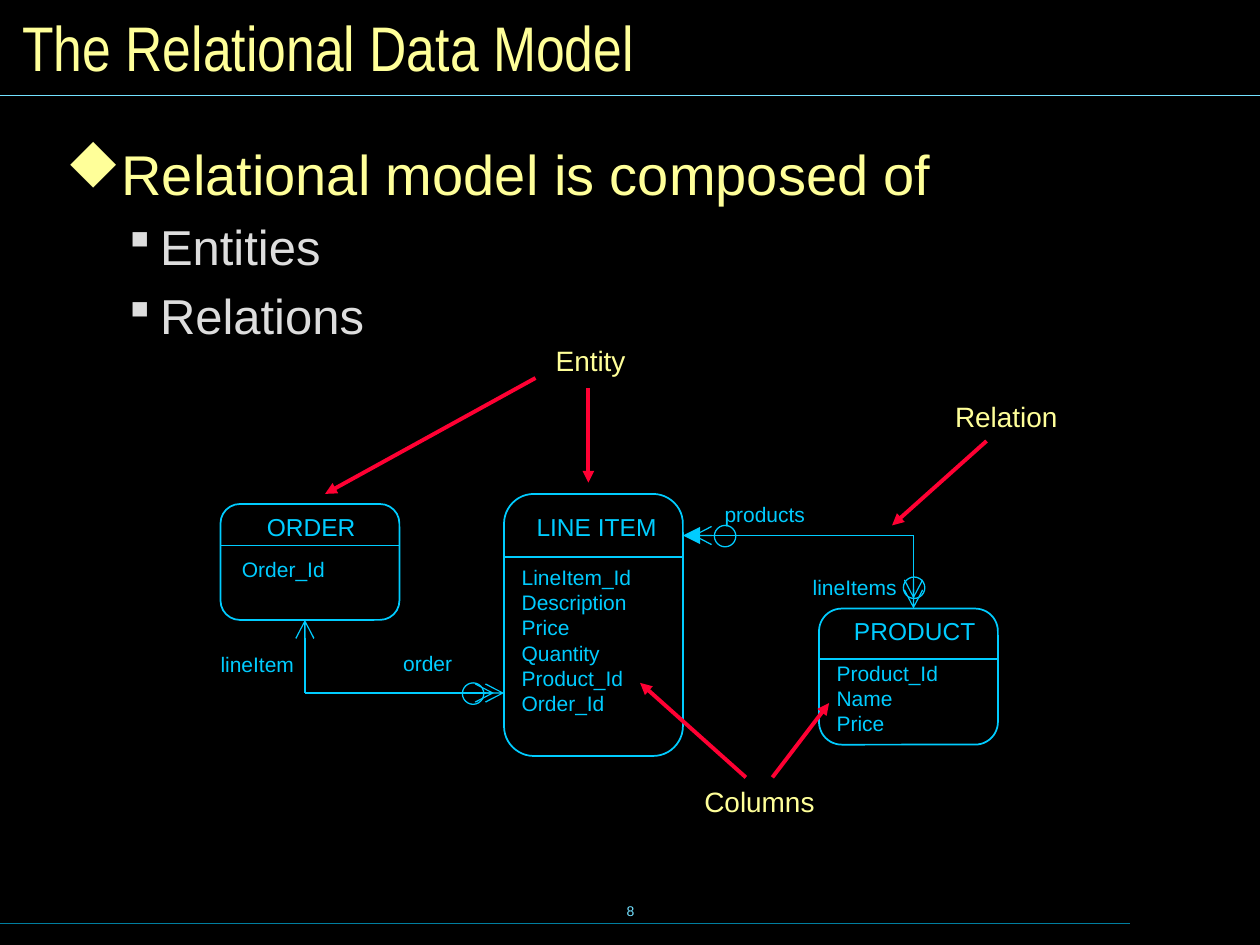
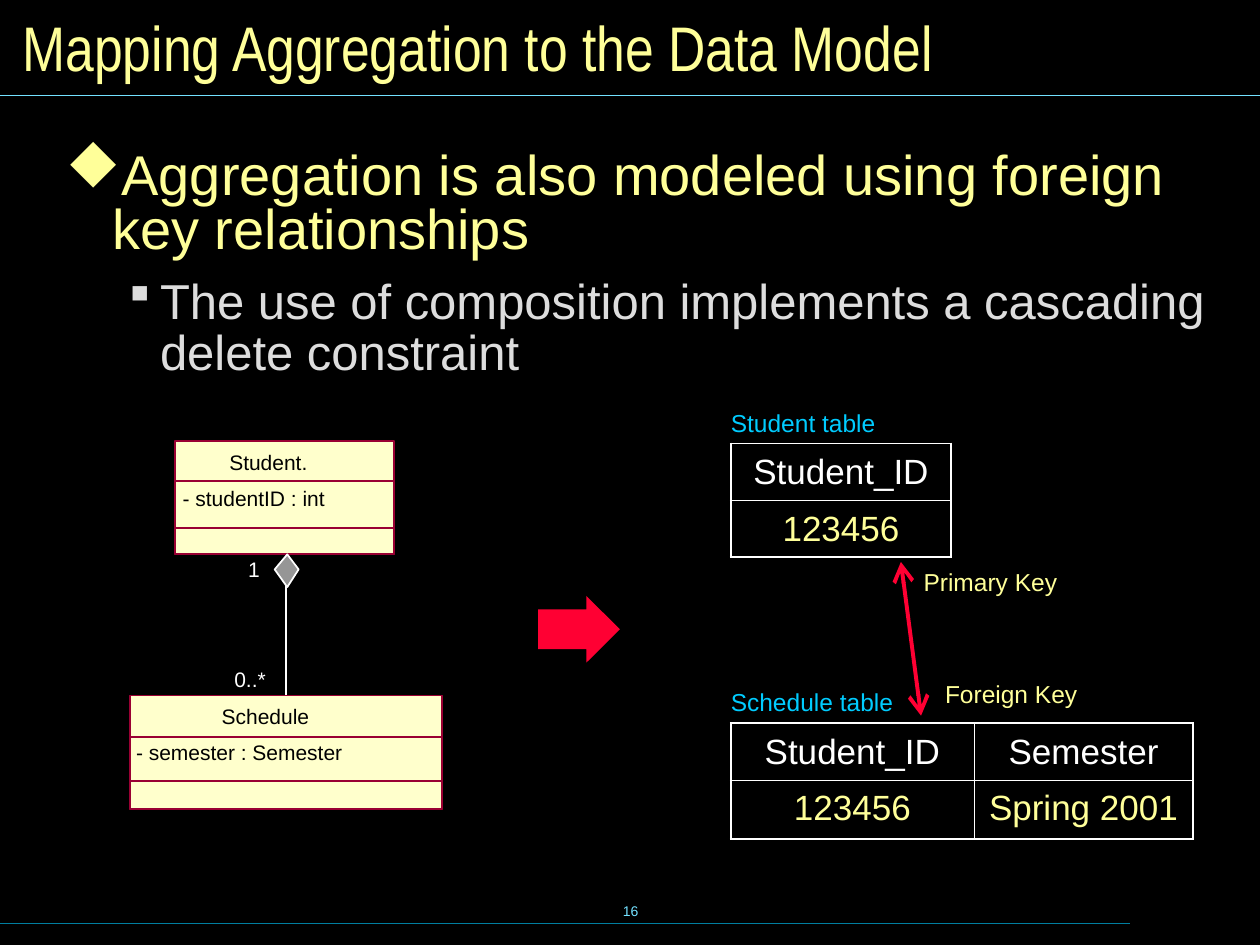
from lxml.etree import SubElement
from pptx import Presentation
from pptx.dml.color import RGBColor
from pptx.enum.shapes import MSO_CONNECTOR, MSO_SHAPE
from pptx.enum.text import MSO_ANCHOR, MSO_AUTO_SIZE, PP_ALIGN
from pptx.oxml.ns import qn
from pptx.util import Inches, Pt

BLACK = RGBColor(0x00, 0x00, 0x00)
WHITE = RGBColor(0xFF, 0xFF, 0xFF)
YELLOW = RGBColor(0xFF, 0xFF, 0x99)
CREAM = RGBColor(0xFF, 0xFF, 0xCC)
LIGHT_GRAY = RGBColor(0xDD, 0xDD, 0xDD)
GRAY = RGBColor(0x96, 0x96, 0x96)
CYAN = RGBColor(0x00, 0xCC, 0xFF)
PALE_CYAN = RGBColor(0x73, 0xE1, 0xFF)
TEAL = RGBColor(0x00, 0x7E, 0x9F)
RED = RGBColor(0xFF, 0x00, 0x33)
MAROON = RGBColor(0x99, 0x00, 0x33)

# Wingdings draws "u" as a diamond and "§" as a small square
BULLETS = [
    {"char": "u", "left": 0.37, "hang": 0.37, "size": 32, "color": YELLOW,
     "format": {"level": 0, "line_spacing": 0.8, "space_before": Pt(12)}},
    {"char": "§", "left": 0.75, "hang": 0.25, "size": 28, "color": LIGHT_GRAY,
     "format": {"level": 1, "line_spacing": 0.87, "space_before": Pt(10.5)}},
]


def inches(values):
    return [Inches(value) for value in values]


def apply_format(target, values):
    for name, value in values.items():
        setattr(target, name, value)


class Deck:
    """Holds the presentation, its style and the current slide."""

    def __init__(self):
        self.presentation = Presentation()
        self.presentation.slide_width = Inches(10)
        self.presentation.slide_height = Inches(7.5)
        self.slide = None

    # Slide frame: background, title, rules, page number and bullets
    def start_slide(self, title, number, bullets):
        self.slide = self.presentation.slides.add_slide(
            self.presentation.slide_layouts[6])
        background = self.slide.background.fill
        background.solid()
        background.fore_color.rgb = BLACK
        self.text((3.42, 6.98, 3.17, 0.5), [str(number)], 8, PALE_CYAN,
                  align=PP_ALIGN.CENTER, insets=(0.1, 0.05),
                  anchor=MSO_ANCHOR.MIDDLE)
        self.line((0, 7.33), (8.97, 7.33), TEAL)
        self.line((0, 0.76), (10, 0.76), PALE_CYAN)
        self.text((0.08, 0.08, 9.84, 0.58), [title], 36, YELLOW,
                  font="Arial Narrow", insets=(0.1, 0.05),
                  anchor=MSO_ANCHOR.MIDDLE, wrap=True)
        self.bullets((0.4, 1.15, 9.29, 2.1), bullets)

    def run(self, paragraph, text, size, color, font="Arial"):
        run = paragraph.add_run()
        run.text = text
        apply_format(run.font, {"size": Pt(size), "name": font})
        run.font.color.rgb = color

    def text_frame(self, box, insets, anchor, wrap):
        frame = self.slide.shapes.add_textbox(*inches(box)).text_frame
        across, down = inches(insets)
        apply_format(frame, {
            "margin_left": across, "margin_right": across,
            "margin_top": down, "margin_bottom": down,
            "vertical_anchor": anchor, "word_wrap": wrap,
            "auto_size": MSO_AUTO_SIZE.NONE})
        return frame

    def text(self, box, lines, size, color, font="Arial",
             align=PP_ALIGN.LEFT, insets=(0.12, 0.06),
             anchor=MSO_ANCHOR.TOP, wrap=False):
        frame = self.text_frame(box, insets, anchor, wrap)
        for index, line in enumerate(lines):
            paragraph = frame.add_paragraph() if index else frame.paragraphs[0]
            paragraph.alignment = align
            self.run(paragraph, line, size, color, font)

    def bullets(self, box, items):
        frame = self.text_frame(box, (0.12, 0.06), MSO_ANCHOR.TOP, True)
        for index, (level, text) in enumerate(items):
            style = BULLETS[level]
            paragraph = frame.add_paragraph() if index else frame.paragraphs[0]
            properties = paragraph._p.get_or_add_pPr()
            properties.set("marL", str(Inches(style["left"])))
            properties.set("indent", str(-Inches(style["hang"])))
            bullet_color = SubElement(properties, qn("a:buClr"))
            SubElement(bullet_color, qn("a:srgbClr"), val=str(style["color"]))
            SubElement(properties, qn("a:buFont"), typeface="Wingdings",
                       pitchFamily="2", charset="2")
            SubElement(properties, qn("a:buChar"), char=style["char"])
            apply_format(paragraph, style["format"])
            if not index:
                paragraph.space_before = Pt(0)
            self.run(paragraph, text, style["size"], style["color"])

    def line(self, start, end, color, width=0.75, head=None, tail=None,
             tip="med"):
        connector = self.slide.shapes.add_connector(
            MSO_CONNECTOR.STRAIGHT, *inches(start + end))
        connector.line.color.rgb = color
        connector.line.width = Pt(width)
        properties = connector._element.spPr
        outline = properties.find(qn("a:ln"))
        for tag, kind in (("a:headEnd", head), ("a:tailEnd", tail)):
            if kind:
                SubElement(outline, qn(tag), type=kind, w=tip, len=tip)
        SubElement(properties, qn("a:effectLst"))
        return connector

    def paint(self, shape, fill=None, line=None, width=1):
        shape.shadow.inherit = False
        if fill is None:
            shape.fill.background()
        else:
            shape.fill.solid()
            shape.fill.fore_color.rgb = fill
        if line is None:
            shape.line.fill.background()
        else:
            shape.line.color.rgb = line
            shape.line.width = Pt(width)
        return shape

    def shape(self, kind, box, adjustments=(), **paint):
        shape = self.slide.shapes.add_shape(kind, *inches(box))
        for index, value in enumerate(adjustments):
            shape.adjustments[index] = value
        return self.paint(shape, **paint)

    def polygon(self, points, **paint):
        start, *rest = [inches(point) for point in points]
        builder = self.slide.shapes.build_freeform(*start)
        builder.add_line_segments(rest, close=True)
        return self.paint(builder.convert_to_shape(), **paint)

    # Rounded entity box with a heading and a list of columns
    def entity(self, box, divider, name, name_box, columns, columns_box):
        left, _, width, _ = box
        self.shape(MSO_SHAPE.ROUNDED_RECTANGLE, box, [0.167], line=CYAN)
        self.line((left, divider), (left + width, divider), CYAN, 1)
        self.text(name_box, [name], 14, CYAN, align=PP_ALIGN.CENTER)
        self.text(columns_box, columns, 12, CYAN)

    def circle(self, left, top):
        self.shape(MSO_SHAPE.FLOWCHART_CONNECTOR, (left, top, 0.17, 0.17),
                   line=CYAN, width=0.75)

    # Class box with three compartments
    def class_box(self, left, width, tops, bottom, name, name_at,
                  attribute, attribute_at):
        outer, *_ = [
            self.shape(MSO_SHAPE.RECTANGLE, (left, top, width, bottom - top),
                       fill=None if index else CREAM, line=MAROON)
            for index, top in enumerate(tops)]
        self.label(name_at, 0.7, name, BLACK)
        self.label(attribute_at, 1.64, attribute, BLACK)
        return outer

    def label(self, position, width, text, color):
        self.text((*position, width, 0.2), [text], 12, color, insets=(0, 0))

    # Table with a thick frame and thin inner lines
    def table(self, left, top, widths, heights, rows):
        table = self.slide.shapes.add_table(
            len(rows), len(widths),
            *inches((left, top, sum(widths), sum(heights)))).table
        apply_format(table, {"first_row": False, "horz_banding": False})
        for column, width in zip(table.columns, widths):
            column.width = Inches(width)
        for y, values in enumerate(rows):
            table.rows[y].height = Inches(heights[y])
            for x, value in enumerate(values):
                cell = table.cell(y, x)
                self.cell_borders(cell, {
                    "L": x == 0, "R": x == len(widths) - 1,
                    "T": y == 0, "B": y == len(rows) - 1})
                cell.fill.background()
                apply_format(cell, {
                    "margin_left": Inches(0.1), "margin_right": Inches(0.1),
                    "margin_top": Inches(0.05), "margin_bottom": Inches(0.05)})
                paragraph = cell.text_frame.paragraphs[0]
                apply_format(paragraph, {"alignment": PP_ALIGN.CENTER,
                                         "line_spacing": Pt(24)})
                self.run(paragraph, value, 20, YELLOW if y else WHITE)

    def cell_borders(self, cell, sides):
        properties = cell._tc.get_or_add_tcPr()
        for side, is_outer in sides.items():
            border = SubElement(properties, qn(f"a:ln{side}"),
                                w=str(Pt(1.08 if is_outer else 0.45)))
            fill = SubElement(border, qn("a:solidFill"))
            SubElement(fill, qn("a:srgbClr"), val=str(WHITE))


def build_relational_model(deck):
    deck.start_slide("The Relational Data Model", 8, [
        (0, "Relational model is composed of"),
        (1, "Entities"), (1, "Relations")])

    # Entities
    deck.entity((1.75, 4, 1.42, 0.92), 4.33, "ORDER", (2, 4, 0.94, 0.35),
                ["Order_Id"], (1.8, 4.36, 0.89, 0.32))
    deck.entity((4, 3.92, 1.42, 2.08), 4.42, "LINE ITEM",
                (4.14, 4, 1.19, 0.35),
                ["LineItem_Id", "Description", "Price", "Quantity",
                 "Product_Id", "Order_Id"], (4.02, 4.42, 1.11, 1.32))
    deck.entity((6.5, 4.83, 1.42, 1.08), 5.23, "PRODUCT",
                (6.66, 4.83, 1.2, 0.35),
                ["Product_Id", "Name", "Price"], (6.52, 5.18, 1.04, 0.72))

    # Relations: lines with crow's feet, circles and role names
    for start, end, ends in [
            ((2.42, 4.92), (2.42, 5.5), {"head": "arrow"}),
            ((2.42, 5.5), (4, 5.5), {"tail": "arrow"}),
            ((2.5, 5.5), (3.92, 5.5), {"tail": "arrow"}),
            ((5.42, 4.25), (7.25, 4.25), {"head": "triangle"}),
            ((5.5, 4.25), (6.83, 4.25), {"head": "arrow"}),
            ((7.25, 4.25), (7.25, 4.83), {"tail": "arrow"}),
            ((7.25, 4.5), (7.25, 4.75), {"tail": "arrow"})]:
        deck.line(start, end, CYAN, tip="lg", **ends)
    for left, top in [(3.67, 5.42), (5.67, 4.17), (7.17, 4.58)]:
        deck.circle(left, top)
    for role, left, top, width in [
            ("lineItem", 1.63, 5.11, 0.82), ("order", 3.08, 5.1, 0.63),
            ("products", 5.63, 3.92, 0.88), ("lineItems", 6.33, 4.5, 0.9)]:
        deck.text((left, top, width, 0.32), [role], 12, CYAN)

    # Callouts
    for callout, left, top, width in [
            ("Entity", 4.29, 2.67, 0.79), ("Relation", 7.46, 3.11, 1.05),
            ("Columns", 5.47, 6.17, 1.11)]:
        deck.text((left, top, width, 0.39), [callout], 16, YELLOW)
    for start, end in [
            ((4.67, 3.08), (4.67, 3.83)), ((4.25, 3), (2.58, 3.92)),
            ((7.83, 3.5), (7.08, 4.17)), ((5.92, 6.17), (5.08, 5.42)),
            ((6.13, 6.17), (6.58, 5.58))]:
        deck.line(start, end, RED, 2.25, tail="triangle")


def build_aggregation(deck):
    deck.start_slide("Mapping Aggregation to the Data Model", 16, [
        (0, "Aggregation is also modeled using foreign key relationships"),
        (1, "The use of composition implements a cascading delete "
            "constraint")])

    # Class diagram
    deck.class_box(1.39, 1.74, (3.5, 3.82, 4.19), 4.4,
                   "Student.", (1.82, 3.57), "- studentID : int", (1.45, 3.85))
    schedule = deck.class_box(1.03, 2.48, (5.52, 5.85, 6.2), 6.42,
                              "Schedule", (1.76, 5.58),
                              "- semester : Semester", (1.08, 5.87))
    aggregation = deck.line((2.27, 5.52), (2.27, 4.65), WHITE, 1)
    aggregation.begin_connect(schedule, 0)
    deck.polygon([(2.28, 4.4), (2.37, 4.52), (2.28, 4.66), (2.18, 4.52)],
                 fill=GRAY, line=WHITE)
    deck.label((1.86, 5.29), 0.25, "0..*", WHITE)
    deck.label((1.97, 4.42), 0.09, "1", WHITE)

    # Mapping arrow
    deck.shape(MSO_SHAPE.RIGHT_ARROW, (4.27, 4.73, 0.65, 0.53),
               [0.595, 0.503], fill=RED)

    # Tables and keys
    deck.table(5.8, 5.74, [1.93, 1.74], [0.45, 0.47],
               [["Student_ID", "Semester"], ["123456", "Spring 2001"]])
    deck.table(5.8, 3.52, [1.75], [0.45, 0.45], [["Student_ID"], ["123456"]])
    deck.line((7.15, 4.46), (7.31, 5.68), RED, 2.25,
              head="arrow", tail="arrow", tip="lg")
    for caption, left, top, width, color in [
            ("Schedule table", 5.68, 5.39, 1.53, CYAN),
            ("Student table", 5.68, 3.18, 1.39, CYAN),
            ("Foreign Key", 7.38, 5.33, 1.29, YELLOW),
            ("Primary Key", 7.21, 4.44, 1.3, YELLOW)]:
        deck.text((left, top, width, 0.35), [caption], 14, color)


def main():
    deck = Deck()
    build_relational_model(deck)
    build_aggregation(deck)
    deck.presentation.save("out.pptx")


if __name__ == "__main__":
    main()
